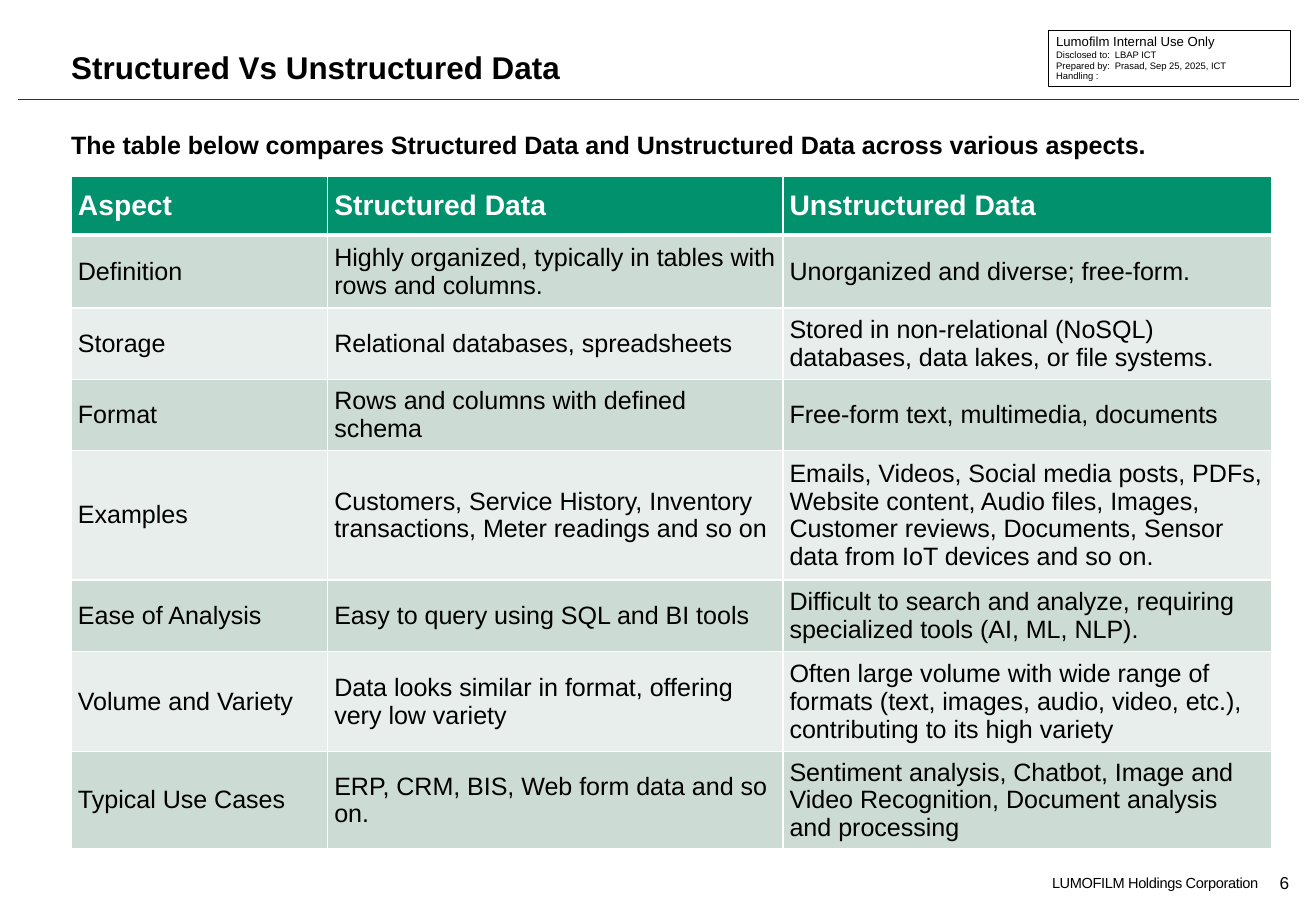
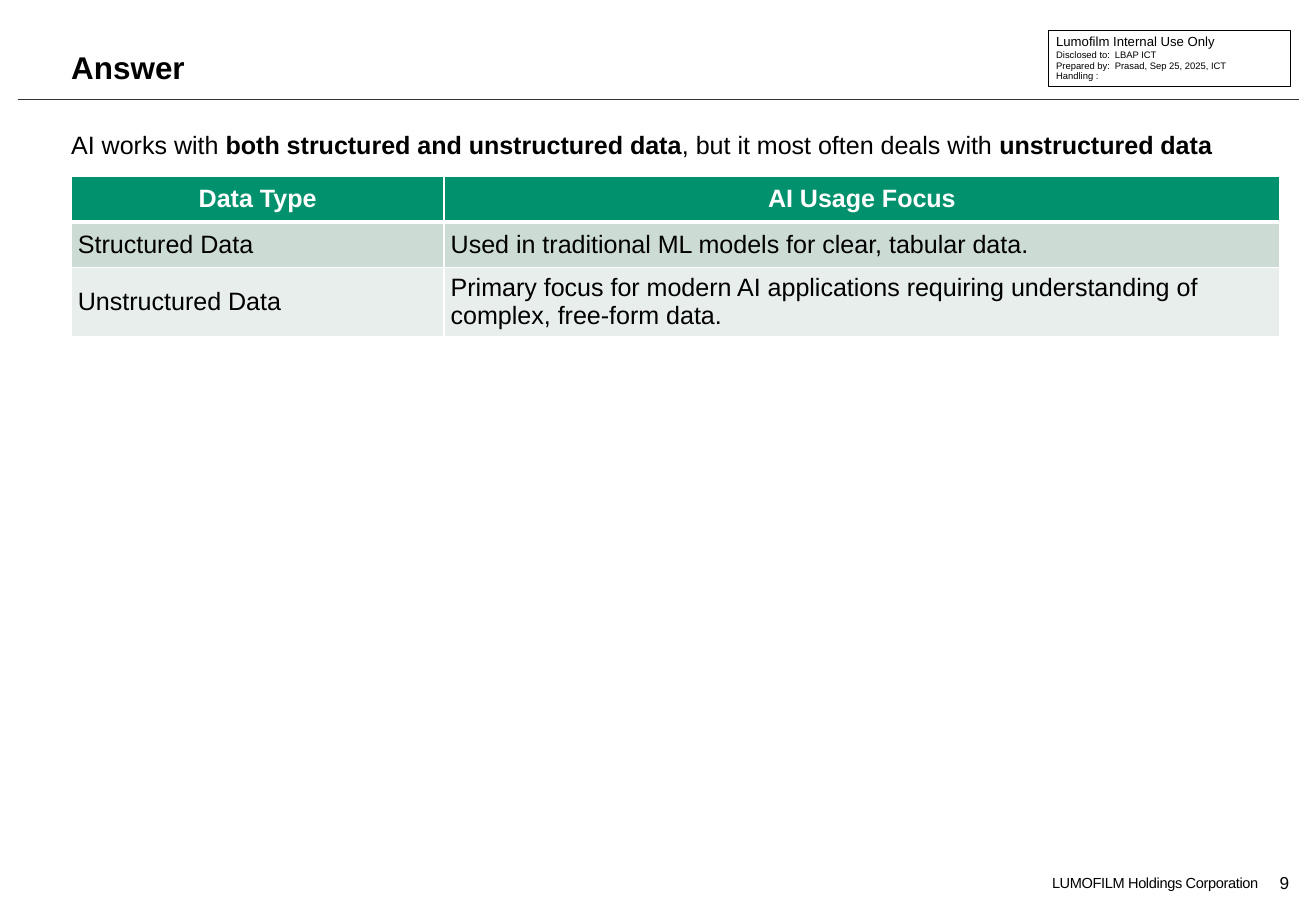
import dataclasses
import typing

import lxml.etree
import pptx
import pptx.dml.color
import pptx.enum.shapes
import pptx.enum.text
import pptx.oxml.ns
import pptx.presentation
import pptx.slide
import pptx.text.text
import pptx.util

Pt = pptx.util.Pt
RGB = pptx.dml.color.RGBColor
ALIGN = pptx.enum.text.PP_ALIGN
ANCHOR = pptx.enum.text.MSO_ANCHOR


@dataclasses.dataclass(frozen=True)
class Theme:
    font: str = "Arial"
    ink: RGB = RGB(0x00, 0x00, 0x00)
    white: RGB = RGB(0xFF, 0xFF, 0xFF)
    rule: RGB = RGB(0x33, 0x33, 0x33)
    header: RGB = RGB(0x01, 0x91, 0x6D)
    bands: tuple[RGB, RGB] = (RGB(0xCC, 0xDC, 0xD4), RGB(0xE7, 0xEE, 0xEB))
    title_size: float = 20
    body_size: float = 16
    number_size: float = 11
    footer_size: float = 9.3
    notice_size: float = 8.4
    detail_size: float = 6
    cell_margin: float = 4.3
    border: float = 1
    header_border: float = 3


THEME = Theme()


class Box(typing.NamedTuple):
    left: float
    top: float
    width: float
    height: float

    def lengths(self) -> list[pptx.util.Length]:
        return [Pt(value) for value in self]


class Phrase(typing.NamedTuple):
    text: str
    bold: bool = False


@dataclasses.dataclass(frozen=True)
class Comparison:
    """One slide: a title, a lead sentence and a table with a header row."""
    number: int
    title: str
    lead: list[Phrase]
    widths: list[float]
    heights: list[float]
    rows: list[list[str]]
    header_size: float
    header_align: ALIGN


COMPARISONS = [
    Comparison(
        number=6,
        title="Structured Vs Unstructured Data",
        lead=[Phrase("The table below compares Structured Data and Unstructured Data "
                     "across various aspects.", True)],
        widths=[163.4, 290.2, 311.8],
        heights=[37.5, 46.5, 45.4, 45.4, 82.5, 45.4, 64, 61],
        rows=[
            ["Aspect", "Structured Data", "Unstructured Data"],
            ["Definition", "Highly organized, typically in tables with rows and columns.",
             "Unorganized and diverse; free-form."],
            ["Storage", "Relational databases, spreadsheets",
             "Stored in non-relational (NoSQL) databases, data lakes, or file systems."],
            ["Format", "Rows and columns with defined schema",
             "Free-form text, multimedia, documents"],
            ["Examples",
             "Customers, Service History, Inventory transactions, Meter readings and so on",
             "Emails, Videos, Social media posts, PDFs, Website content, Audio files, Images, "
             "Customer reviews, Documents, Sensor data from IoT devices and so on."],
            ["Ease of Analysis", "Easy to query using SQL and BI tools",
             "Difficult to search and analyze, requiring specialized tools (AI, ML, NLP)."],
            ["Volume and Variety", "Data looks similar in format, offering very low variety",
             "Often large volume with wide range of formats (text, images, audio, video, etc.), "
             "contributing to its high variety"],
            ["Typical Use Cases", "ERP, CRM, BIS, Web form data and so on.",
             "Sentiment analysis, Chatbot, Image and Video Recognition, "
             "Document analysis and processing"],
        ],
        header_size=18,
        header_align=ALIGN.LEFT,
    ),
    Comparison(
        number=9,
        title="Answer",
        lead=[Phrase("AI works with "),
              Phrase("both structured and unstructured data", True),
              Phrase(", but it most often deals with "),
              Phrase("unstructured data", True)],
        widths=[237.6, 532.8],
        heights=[29, 29, 43.5],
        rows=[
            ["Data Type", "AI Usage Focus"],
            ["Structured Data", "Used in traditional ML models for clear, tabular data."],
            ["Unstructured Data", "Primary focus for modern AI applications requiring "
             "understanding of complex, free-form data."],
        ],
        header_size=16,
        header_align=ALIGN.CENTER,
    ),
]


def style(paragraph: pptx.text.text._Paragraph, size: float, color: RGB = THEME.ink,
          bold: bool | None = False, align: ALIGN = ALIGN.LEFT) -> None:
    paragraph.alignment = align
    paragraph.font.name = THEME.font
    paragraph.font.size = Pt(size)
    paragraph.font.color.rgb = color
    paragraph.font.bold = bold


def clear_frame(frame: pptx.text.text.TextFrame, anchor: ANCHOR) -> None:
    """Remove the insets and fix wrapping, size and anchor."""
    frame.margin_left = frame.margin_top = frame.margin_right = frame.margin_bottom = 0
    frame.auto_size = pptx.enum.text.MSO_AUTO_SIZE.NONE
    frame.word_wrap = True
    frame.vertical_anchor = anchor


def add_text(slide: pptx.slide.Slide, box: Box, lines: list[str], size: float,
             align: ALIGN = ALIGN.LEFT, anchor: ANCHOR = ANCHOR.TOP,
             leading: float | None = None) -> pptx.text.text.TextFrame:
    frame = slide.shapes.add_textbox(*box.lengths()).text_frame
    clear_frame(frame, anchor)
    frame.text = "\n".join(lines)
    for paragraph in frame.paragraphs:
        style(paragraph, size, align=align)
        if leading is not None:
            paragraph.line_spacing = Pt(leading)
    return frame


def add_notice(slide: pptx.slide.Slide) -> None:
    """Draw the framed disclosure notice in the top right corner."""
    border = slide.shapes.add_shape(pptx.enum.shapes.MSO_SHAPE.RECTANGLE,
                                    *Box(668.2, 19.4, 154, 36).lengths())
    border.shadow.inherit = False
    border.fill.solid()
    border.fill.fore_color.rgb = THEME.white
    border.line.color.rgb = THEME.ink
    border.line.width = Pt(0.5)
    add_text(slide, Box(673.2, 21.6, 138, 9.4), ["Lumofilm Internal Use Only"],
             THEME.notice_size, anchor=ANCHOR.MIDDLE)
    add_text(slide, Box(673.2, 31.7, 36, 27), ["Disclosed to:", "Prepared by:", "Handling :"],
             THEME.detail_size, leading=6.8)
    add_text(slide, Box(710.6, 31.7, 105, 26), ["LBAP ICT", "Prasad, Sep 25, 2025, ICT"],
             THEME.detail_size, leading=6.8)


def add_frame(slide: pptx.slide.Slide, number: int) -> None:
    """Draw what every slide shares: rule, notice, footer and page number."""
    rule = slide.shapes.add_connector(pptx.enum.shapes.MSO_CONNECTOR.STRAIGHT,
                                      Pt(11.5), Pt(63.4), Pt(828), Pt(63.4))
    rule.line.color.rgb = THEME.rule
    rule.line.width = Pt(0.75)
    lxml.etree.SubElement(rule._element.spPr, pptx.oxml.ns.qn("a:effectLst"))
    add_notice(slide)
    footer = add_text(slide, Box(632.9, 556.6, 169.2, 11.5), ["LUMOFILM Holdings Corporation"],
                      THEME.footer_size, align=ALIGN.RIGHT)
    footer.paragraphs[0].runs[0]._r.get_or_add_rPr().set("spc", "-20")
    add_text(slide, Box(805, 556.6, 27.4, 11.5), [str(number)], THEME.number_size,
             align=ALIGN.CENTER, anchor=ANCHOR.MIDDLE)


def set_title(slide: pptx.slide.Slide, text: str) -> None:
    title = slide.shapes.title
    title.left, title.top, title.width, title.height = Box(45.4, 12.2, 572.4, 42.5).lengths()
    clear_frame(title.text_frame, ANCHOR.BOTTOM)
    title.text_frame.text = text
    style(title.text_frame.paragraphs[0], THEME.title_size, bold=True)


def add_lead(slide: pptx.slide.Slide, phrases: list[Phrase]) -> None:
    frame = slide.shapes.add_textbox(*Box(45.4, 80.6, 748, 24).lengths()).text_frame
    clear_frame(frame, ANCHOR.TOP)
    paragraph = frame.paragraphs[0]
    paragraph.line_spacing = 1.1
    style(paragraph, THEME.body_size, bold=None)
    for phrase in phrases:
        run = paragraph.add_run()
        run.text = phrase.text
        run.font.bold = phrase.bold


def set_borders(cell: typing.Any, top: float, bottom: float) -> None:
    """Give a cell white borders; call it before the cell is filled."""
    properties = cell._tc.get_or_add_tcPr()
    sides = {"L": THEME.border, "R": THEME.border, "T": top, "B": bottom}
    for side, width in sides.items():
        line = lxml.etree.SubElement(properties, pptx.oxml.ns.qn(f"a:ln{side}"),
                                     w=str(int(Pt(width))))
        fill = lxml.etree.SubElement(line, pptx.oxml.ns.qn("a:solidFill"))
        lxml.etree.SubElement(fill, pptx.oxml.ns.qn("a:srgbClr"), val=str(THEME.white))


def add_comparison_table(slide: pptx.slide.Slide, content: Comparison) -> None:
    box = Box(45.4, 112.3, sum(content.widths), sum(content.heights))
    table = slide.shapes.add_table(len(content.rows), len(content.widths),
                                   *box.lengths()).table
    table.horz_banding = False
    for column, width in zip(table.columns, content.widths):
        column.width = Pt(width)
    for row, height in zip(table.rows, content.heights):
        row.height = Pt(height)
    margin = Pt(THEME.cell_margin)
    for row_index, texts in enumerate(content.rows):
        is_header = row_index == 0
        top = THEME.header_border if row_index == 1 else THEME.border
        bottom = THEME.header_border if is_header else THEME.border
        for column_index, text in enumerate(texts):
            cell = table.cell(row_index, column_index)
            set_borders(cell, top, bottom)
            cell.fill.solid()
            cell.fill.fore_color.rgb = (THEME.header if is_header
                                        else THEME.bands[(row_index - 1) % 2])
            cell.margin_left = cell.margin_right = margin
            cell.margin_top = cell.margin_bottom = margin
            cell.vertical_anchor = ANCHOR.MIDDLE
            cell.text = text
            paragraph = cell.text_frame.paragraphs[0]
            if is_header:
                style(paragraph, content.header_size, THEME.white, True, content.header_align)
            else:
                style(paragraph, THEME.body_size)


def add_comparison(deck: pptx.presentation.Presentation, content: Comparison) -> None:
    slide = deck.slides.add_slide(deck.slide_layouts.get_by_name("Title Only"))
    add_frame(slide, content.number)
    set_title(slide, content.title)
    add_lead(slide, content.lead)
    add_comparison_table(slide, content)


def main() -> None:
    deck = pptx.Presentation()
    deck.slide_width = Pt(838.8)
    deck.slide_height = Pt(581)
    for content in COMPARISONS:
        add_comparison(deck, content)
    deck.save("out.pptx")


if __name__ == "__main__":
    main()
